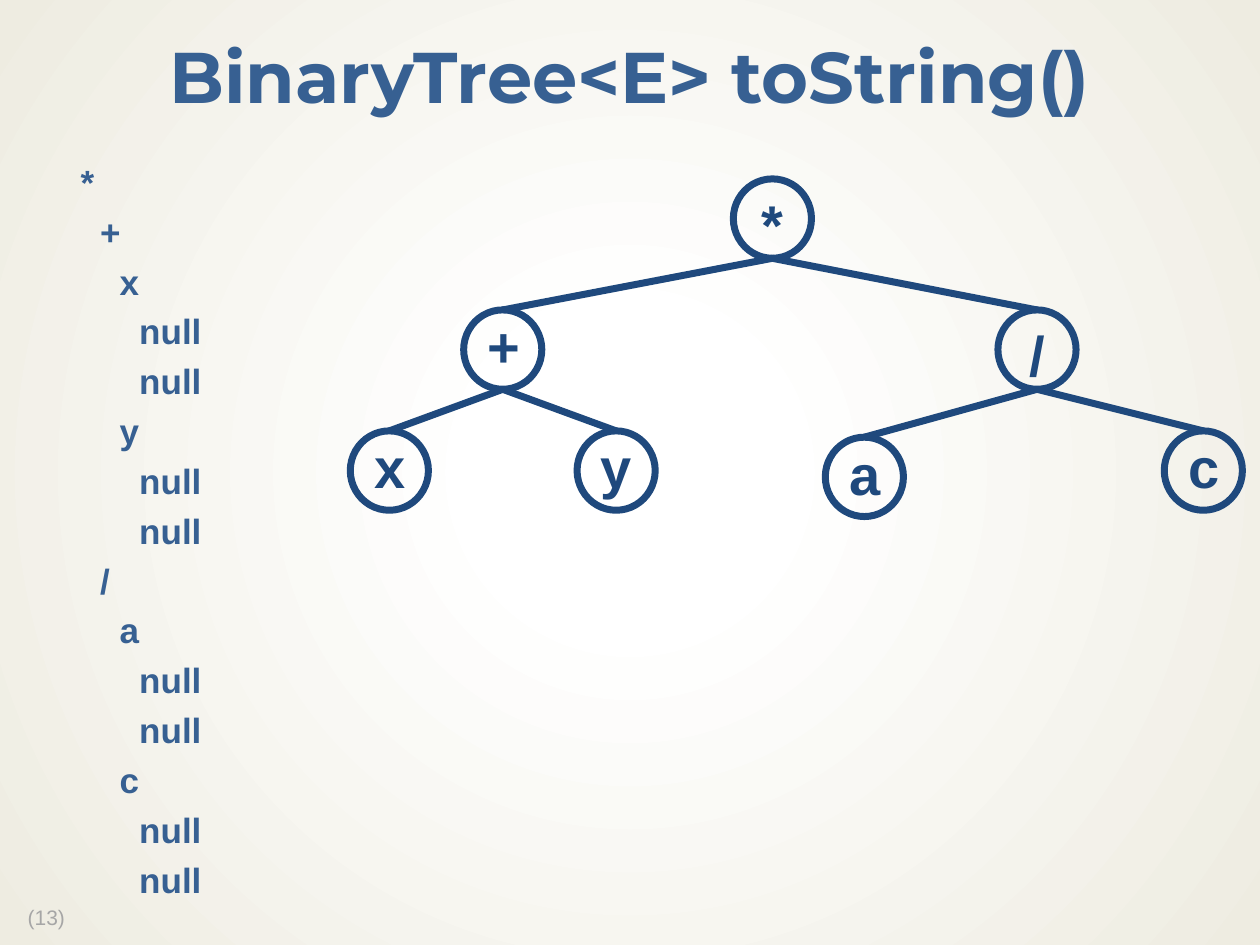
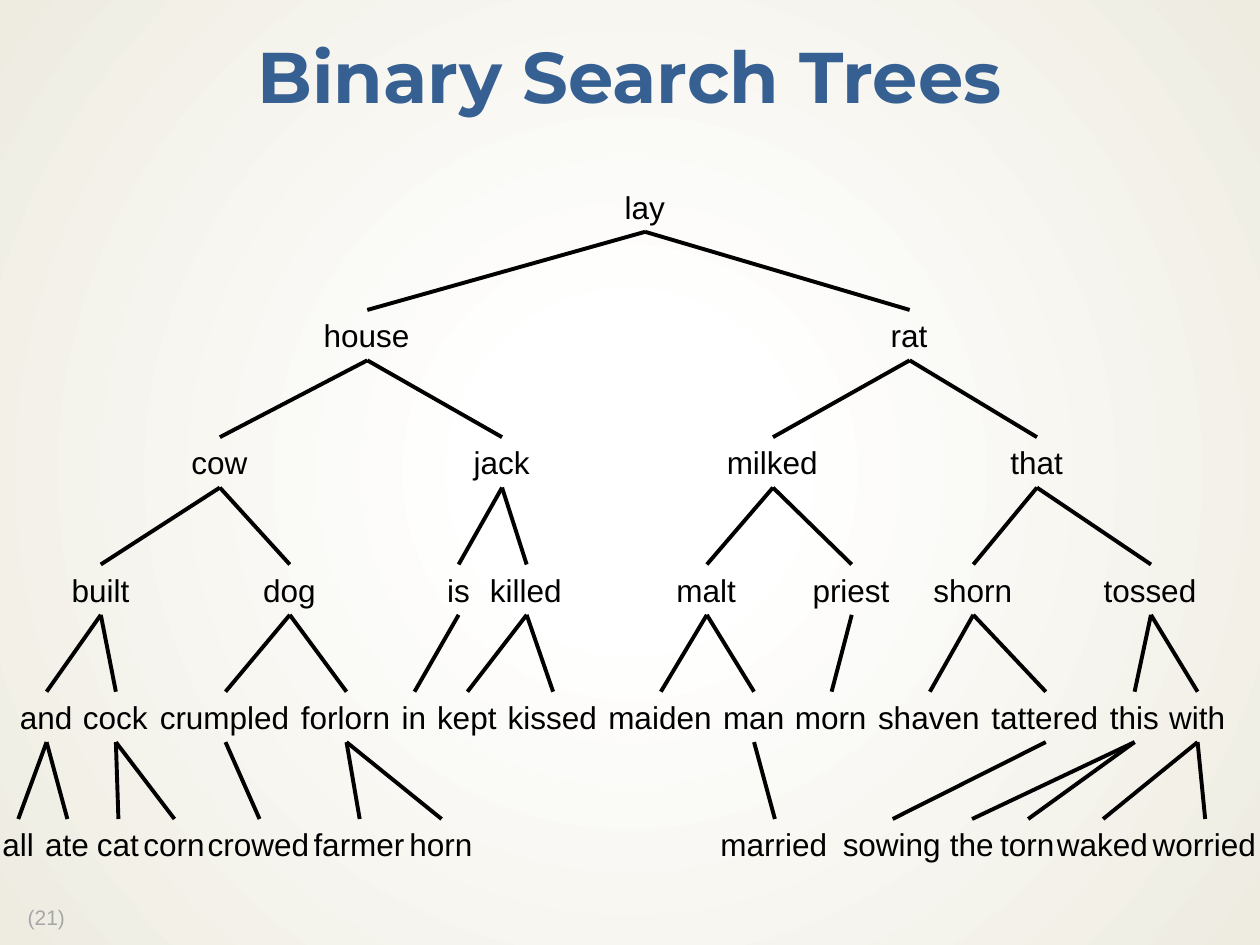
"""Build two slides on binary trees: an expression tree and a search tree."""
from lxml.etree import SubElement
from pptx import Presentation
from pptx.dml.color import RGBColor as Color
from pptx.enum.shapes import MSO_CONNECTOR as Connector, MSO_SHAPE as Shape
from pptx.enum.text import MSO_ANCHOR as Anchor, MSO_AUTO_SIZE as AutoSize, PP_ALIGN as Align
from pptx.oxml.ns import qn
from pptx.util import Inches, Pt

COLORS = {"title": "376092", "node": "1F497D", "word": "000000",
          "footer": "A6A6A6", "center": "FFFFFF", "edge": "EEECE1"}
TOP, BOTTOM = 0, 2
NODE_WIDTH, NODE_HEIGHT = 0.62, 0.63
LIST_INDENT, LEVEL_STEP = 0.14, 0.155

EXPRESSION = {"*": "+/", "+": "xy", "/": "ac"}
NODE_PLACES = {"*": (5.82, 1.42), "+": (3.68, 2.46), "x": (2.78, 3.42), "y": (4.58, 3.42),
               "/": (7.92, 2.46), "a": (6.55, 3.47), "c": (9.24, 3.42)}
TOP_ANCHORED = "*/"

WORD_ROWS = {
    1.44: [("lay", 4.86, 0.52)],
    2.46: [("house", 2.47, 0.89), ("rat", 6.97, 0.5)],
    3.47: [("cow", 1.42, 0.65), ("jack", 3.66, 0.65), ("milked", 5.67, 0.93),
           ("that", 7.92, 0.62)],
    4.48: [("built", 0.47, 0.66), ("dog", 1.99, 0.62), ("is", 3.45, 0.38),
           ("killed", 3.79, 0.78), ("malt", 5.27, 0.68), ("priest", 6.35, 0.82),
           ("shorn", 7.31, 0.83), ("tossed", 8.66, 0.95)],
    5.49: [("and", 0.06, 0.62), ("cock", 0.56, 0.72), ("crumpled", 1.17, 1.24),
           ("forlorn", 2.29, 0.92), ("in", 3.09, 0.4), ("kept", 3.37, 0.68),
           ("kissed", 3.93, 0.92), ("maiden", 4.73, 1.03), ("man", 5.64, 0.69),
           ("morn", 6.21, 0.78), ("shaven", 6.87, 1.02), ("tattered", 7.77, 1.06),
           ("this", 8.71, 0.59), ("with", 9.18, 0.65)],
    6.5: [("all", -0.08, 0.45), ("ate", 0.26, 0.55), ("cat", 0.67, 0.54),
          ("corn", 1.04, 0.69), ("crowed", 1.55, 1.02), ("farmer", 2.39, 0.93),
          ("horn", 3.15, 0.71), ("married", 5.62, 1.06), ("sowing", 6.59, 0.99),
          ("the", 7.44, 0.55), ("torn", 7.84, 0.64), ("waked", 8.29, 0.93),
          ("worried", 9.05, 1.03)],
}


class TreeDeck:
    """Hold the shared style and the slide being drawn."""

    def __init__(self):
        """Open a deck with the shared size and background."""
        self.deck = Presentation()
        self.deck.slide_width, self.deck.slide_height = Inches(10), Inches(7.5)
        self.page = None
        self.background()

    def background(self):
        """Give the master a circular gradient."""
        master = self.deck.slide_master
        master.background.fill.gradient()
        gradient = next(master.element.iter(qn("a:gradFill")))
        gradient.clear()
        stops = SubElement(gradient, qn("a:gsLst"))
        for position, name, alpha in ((18, "center", 53), (100, "edge", 100)):
            stop = SubElement(stops, qn("a:gs"), pos=str(position * 1000))
            color = SubElement(stop, qn("a:srgbClr"), val=COLORS[name])
            SubElement(color, qn("a:alpha"), val=str(alpha * 1000))
        circle = SubElement(gradient, qn("a:path"), path="circle")
        SubElement(circle, qn("a:fillToRect"), l="50000", t="50000", r="50000", b="50000")

    def start_page(self, title, number):
        """Add a slide with its title and page number."""
        self.page = self.deck.slides.add_slide(self.deck.slide_layouts[6])
        footer = self.label(f"({number})", 0.07, 7.15, 0.56, 0.28, 12, "footer")
        footer.text_frame.margin_left = Inches(0.15)
        footer.text_frame.paragraphs[0].line_spacing = 0.9
        box = self.page.shapes.add_textbox(Inches(0), Inches(0.17), Inches(10), Inches(0.94))
        frame = box.text_frame
        frame.word_wrap, frame.vertical_anchor = True, Anchor.MIDDLE
        para = frame.paragraphs[0]
        para.alignment, para.line_spacing = Align.CENTER, 0.9
        self.span(para, title, 41, "title", True, "Montserrat")

    def span(self, para, text, size, color, bold=False, font="Arial"):
        """Add one styled run."""
        span = para.add_run()
        span.text = text
        span.font.name, span.font.size, span.font.bold = font, Pt(size), bold
        span.font.color.rgb = Color.from_string(COLORS[color])

    def label(self, text, left, top, width, height=0.4, size=18, color="word"):
        """Add a one-line text box that fits its text."""
        box = self.page.shapes.add_textbox(Inches(left), Inches(top),
                                           Inches(width), Inches(height))
        box.text_frame.word_wrap = False
        box.text_frame.auto_size = AutoSize.SHAPE_TO_FIT_TEXT
        self.span(box.text_frame.paragraphs[0], text, size, color)
        return box

    def outline(self, lines):
        """Add a list of (text, level) lines indented by level."""
        box = self.page.shapes.add_textbox(Inches(0.38), Inches(1.25), Inches(9.25), Inches(5.65))
        frame = box.text_frame
        frame.word_wrap = True
        frame.margin_left = frame.margin_right = Inches(0.12)
        frame.margin_top = frame.margin_bottom = Inches(0.06)
        for index, (text, level) in enumerate(lines):
            para = frame.add_paragraph() if index else frame.paragraphs[0]
            para.line_spacing = 0.9
            if index:
                para.space_before = Pt(6.9)
            properties = para._p.get_or_add_pPr()
            properties.set("marL", str(Inches(LIST_INDENT + level * LEVEL_STEP)))
            properties.set("indent", "0")
            self.span(para, text, 20, "title", True)

    def node(self, text, left, top, anchor):
        """Add a circled tree node."""
        circle = self.page.shapes.add_shape(Shape.OVAL, Inches(left), Inches(top),
                                            Inches(NODE_WIDTH), Inches(NODE_HEIGHT))
        circle.shadow.inherit = False
        circle.fill.background()
        circle.line.color.rgb = Color.from_string(COLORS["node"])
        circle.line.width = Pt(4)
        circle.text_frame.vertical_anchor = anchor
        para = circle.text_frame.paragraphs[0]
        para.alignment, para.line_spacing = Align.CENTER, 0.9
        self.span(para, text, 32, "node", True)
        return circle

    def branch(self, parent, child, color, width):
        """Draw a line from below a parent to the top of its child."""
        line = self.page.shapes.add_connector(
            Connector.STRAIGHT,
            parent.left + parent.width // 2, parent.top + parent.height,
            child.left + child.width // 2, child.top)
        line.line.color.rgb = Color.from_string(COLORS[color])
        line.line.width = Pt(width)
        SubElement(line._element.spPr, qn("a:effectLst"))
        return line


def preorder(label, level=0):
    """Yield each line of the printed expression tree with its level."""
    yield label, level
    if label != "null":
        for child in EXPRESSION.get(label, ("null", "null")):
            yield from preorder(child, level + 1)


def search_edges(words):
    """Insert words into a search tree, yielding each parent and child."""
    root, *others = words
    children = {}
    for word in others:
        parent = root
        while (parent, word > parent) in children:
            parent = children[parent, word > parent]
        children[parent, word > parent] = word
        yield parent, word


def expression_slide(tree):
    """Draw the expression tree beside its printed form."""
    tree.start_page("BinaryTree<E> toString()", 13)
    tree.outline(preorder("*"))
    nodes = {}
    for text, (left, top) in NODE_PLACES.items():
        anchor = Anchor.TOP if text in TOP_ANCHORED else Anchor.MIDDLE
        nodes[text] = tree.node(text, left, top, anchor)
    for parent, children in EXPRESSION.items():
        for child in children:
            line = tree.branch(nodes[parent], nodes[child], "node", 4)
            line.end_connect(nodes[child], TOP)


def search_slide(tree):
    """Draw the search tree of words."""
    tree.start_page("Binary Search Trees", 21)
    labels = {word: tree.label(word, left, top, width)
              for top, row in WORD_ROWS.items() for word, left, width in row}
    for parent, child in search_edges(labels):
        line = tree.branch(labels[parent], labels[child], "word", 2.25)
        line.begin_connect(labels[parent], BOTTOM)
        line.end_connect(labels[child], TOP)


def main():
    """Build and save the deck."""
    tree = TreeDeck()
    expression_slide(tree)
    search_slide(tree)
    tree.deck.save("out.pptx")


if __name__ == "__main__":
    main()
